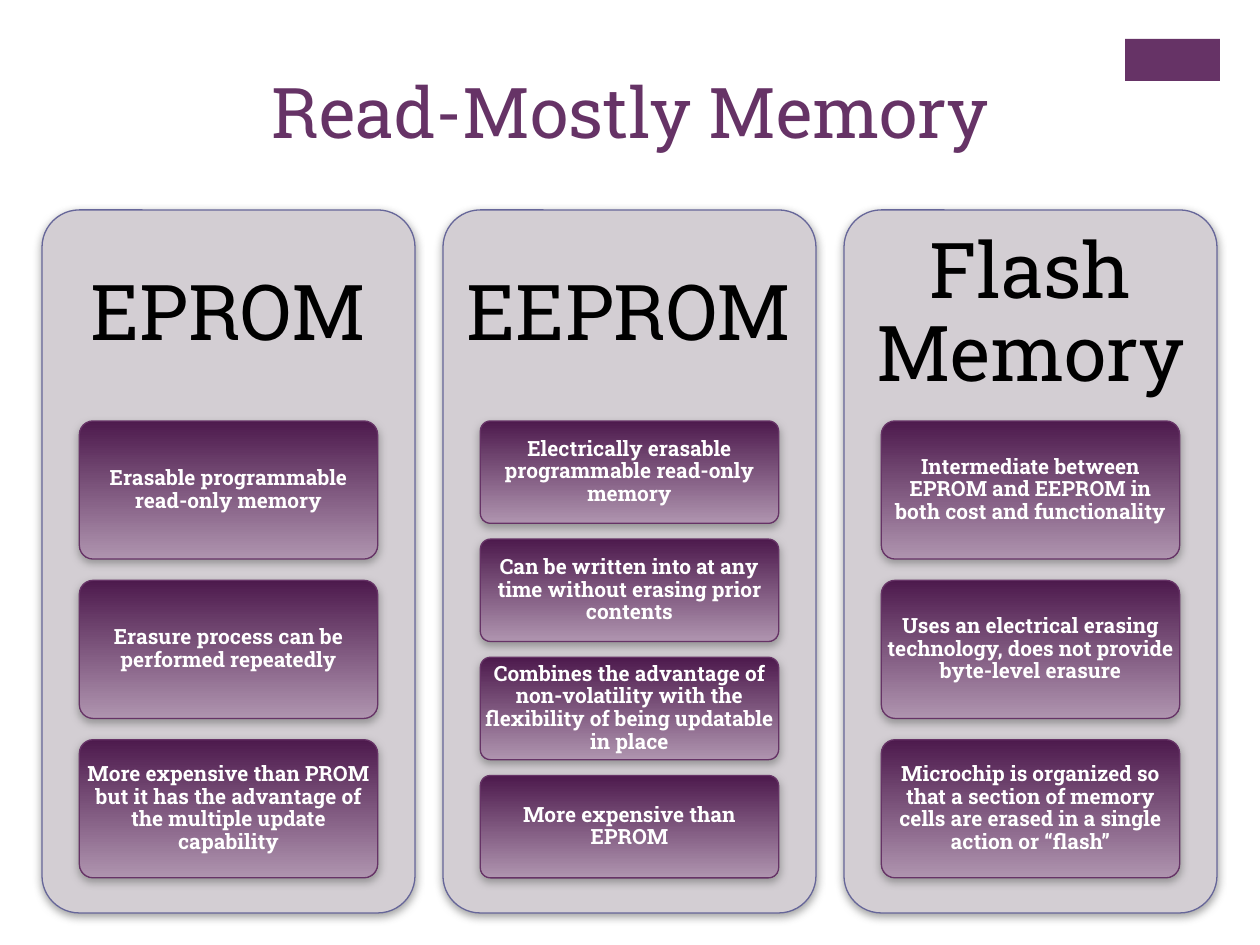
from lxml import etree
from pptx import Presentation
from pptx.dml.color import RGBColor
from pptx.enum.shapes import MSO_SHAPE
from pptx.enum.text import MSO_ANCHOR, MSO_AUTO_SIZE, PP_ALIGN
from pptx.oxml.ns import qn
from pptx.util import Emu, Pt

RECTANGLE, ROUNDED = MSO_SHAPE.RECTANGLE, MSO_SHAPE.ROUNDED_RECTANGLE
TOP, MIDDLE = MSO_ANCHOR.TOP, MSO_ANCHOR.MIDDLE
CENTER, NO_AUTOFIT = PP_ALIGN.CENTER, MSO_AUTO_SIZE.NONE
PX_PER_INCH = 126
FONT = "Roboto Slab"
COLORS = {
    "accent": "663366", "panel": "D3CED3", "panel_line": "666699",
    "card_top": "4D1A4D", "card_bottom": "AF94AF", "shadow": "808080",
    "heading": "000000", "card_text": "FFFFFF",
}
TITLE_FORMAT = {"size": Pt(40), "bold": False}
HEADING_FORMAT = {"size": Pt(44), "bold": False}
CARD_FORMAT = {"size": Pt(12), "bold": True}
GAP_RATIO = 2 / 13
COLUMNS = [
    ("EPROM", [
        "Erasable programmable read-only memory",
        "Erasure process can be performed repeatedly",
        "More expensive than PROM but it has the advantage of the multiple update capability",
    ]),
    ("EEPROM", [
        "Electrically erasable programmable read-only memory",
        "Can be written into at any time without erasing prior contents",
        "Combines the advantage of non-volatility with the flexibility of being updatable in place",
        "More expensive than EPROM",
    ]),
    ("Flash Memory", [
        "Intermediate between EPROM and EEPROM in both cost and functionality",
        "Uses an electrical erasing technology, does not provide byte-level erasure",
        "Microchip is organized so that a section of memory cells are erased in a single action or “flash”",
    ]),
]


def px(length):
    """Turn a length in px into EMU."""
    return Emu(round(length * 914400 / PX_PER_INCH))


def color(name):
    """Look up a named colour."""
    return RGBColor.from_string(COLORS[name])


def write_text(shape, text, font_format, color_name, margin=0, spacing=0.9, anchor=MIDDLE):
    """Write one centred paragraph into a shape."""
    frame = shape.text_frame
    frame_format = {
        "word_wrap": True, "auto_size": NO_AUTOFIT, "vertical_anchor": anchor,
        "margin_left": px(margin), "margin_right": px(margin),
        "margin_top": px(margin), "margin_bottom": px(margin),
    }
    for name, value in frame_format.items():
        setattr(frame, name, value)
    frame.text = text
    paragraph = frame.paragraphs[0]
    paragraph.alignment = CENTER
    paragraph.line_spacing = spacing
    font = paragraph.runs[0].font
    for name, value in {"name": FONT, **font_format}.items():
        setattr(font, name, value)
    font.color.rgb = color(color_name)


def add_rounded_box(slide, box, line_color):
    """Add an outlined rounded rectangle with a soft shadow below it."""
    shape = slide.shapes.add_shape(ROUNDED, *map(px, box))
    shape.adjustments[0] = 0.1
    shape.line.color.rgb = color(line_color)
    shape.line.width = Pt(0.75)
    shape.shadow.inherit = False
    effects = shape.element.spPr.find(qn("a:effectLst"))
    shadow = etree.SubElement(
        effects, qn("a:outerShdw"), blurRad=str(Pt(5)), dist=str(Pt(2)),
        dir="5400000", rotWithShape="0")
    shadow_color = etree.SubElement(shadow, qn("a:srgbClr"), val=COLORS["shadow"])
    etree.SubElement(shadow_color, qn("a:alpha"), val="75000")
    return shape


def add_card(slide, box, text):
    """Add one gradient card with its statement."""
    card = add_rounded_box(slide, box, "accent")
    card.fill.gradient()
    card.fill.gradient_angle = 270
    stops = card.fill.gradient_stops
    for stop, position, name in zip(stops, (0, 1), ("card_top", "card_bottom")):
        stop.position = position
        stop.color.rgb = color(name)
    write_text(card, text, CARD_FORMAT, "card_text")


def add_column(slide, box, heading, statements):
    """Add a panel with a heading and equally spaced cards."""
    left, top, width, height = box
    panel = add_rounded_box(slide, box, "panel_line")
    panel.fill.solid()
    panel.fill.fore_color.rgb = color("panel")
    heading_height = height * 0.3
    heading_box = slide.shapes.add_textbox(*map(px, (left, top, width, heading_height)))
    write_text(heading_box, heading, HEADING_FORMAT, "heading", margin=23)
    count = len(statements)
    card_height = height * 0.65 / (count + GAP_RATIO * (count - 1))
    pitch = card_height * (1 + GAP_RATIO)
    for index, statement in enumerate(statements):
        card_top = top + heading_height + index * pitch
        add_card(slide, (left + width * 0.1, card_top, width * 0.8, card_height), statement)


def add_header(slide, box):
    """Place the title and the accent block above it."""
    left, top, width, height = box
    block = slide.shapes.add_shape(
        RECTANGLE, *map(px, (left + width - 135, top - 24, 95, 42)))
    block.shadow.inherit = False
    block.fill.solid()
    block.fill.fore_color.rgb = color("accent")
    block.line.fill.background()
    title = slide.shapes.title
    for name, value in zip(("left", "top", "width", "height"), box):
        setattr(title, name, px(value))
    write_text(title, "Read-Mostly Memory", TITLE_FORMAT, "accent",
               margin=5, spacing=1.0, anchor=TOP)


def main():
    """Build the slide and save it."""
    presentation = Presentation()
    presentation.slide_width, presentation.slide_height = px(1260), px(945)
    slide = presentation.slides.add_slide(presentation.slide_layouts[5])
    add_header(slide, (0, 63, 1260, 137))
    for index, (heading, statements) in enumerate(COLUMNS):
        add_column(slide, (42 + index * 401, 210, 373, 703), heading, statements)
    presentation.save("out.pptx")


if __name__ == "__main__":
    main()
